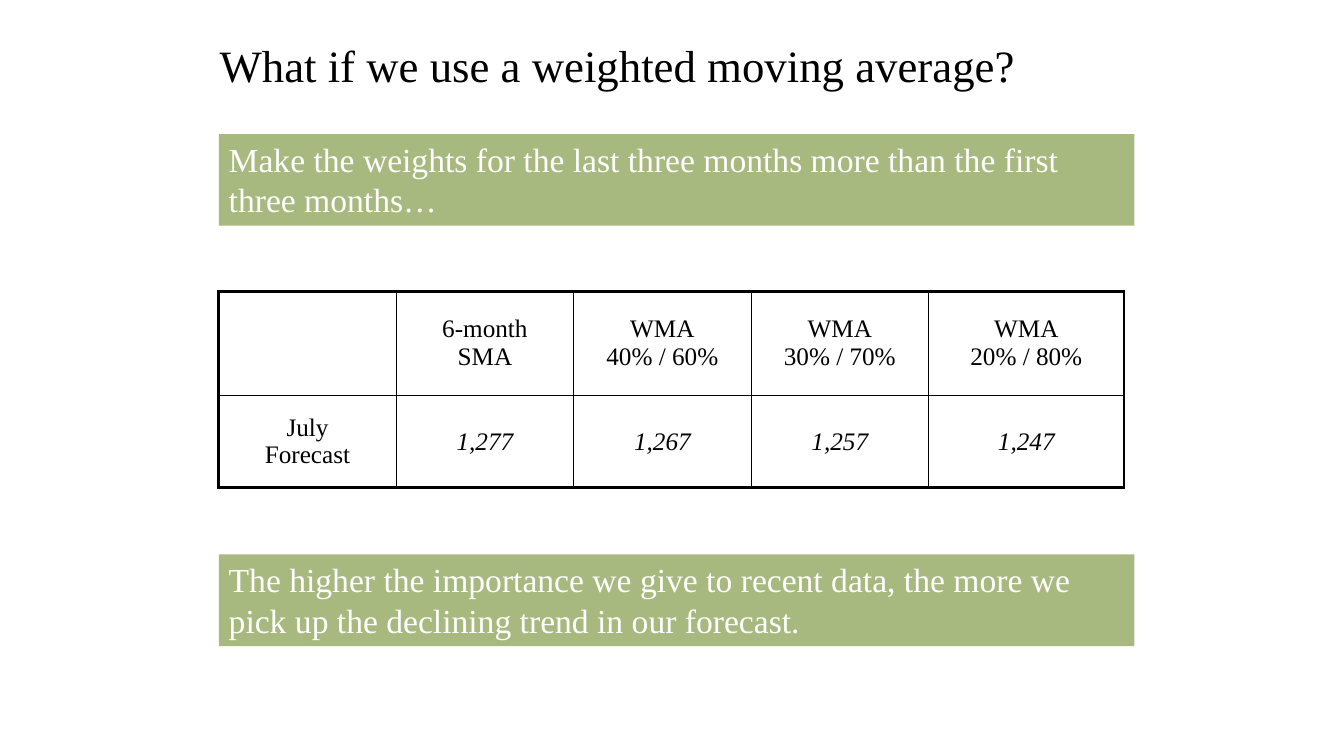
from dataclasses import dataclass

from lxml import etree
from pptx import Presentation
from pptx.dml.color import RGBColor
from pptx.enum.shapes import MSO_SHAPE
from pptx.enum.text import MSO_ANCHOR, PP_ALIGN
from pptx.oxml.ns import qn
from pptx.util import Inches, Pt

RECTANGLE = MSO_SHAPE.RECTANGLE
TOP, MIDDLE = MSO_ANCHOR.TOP, MSO_ANCHOR.MIDDLE
LEFT, CENTER = PP_ALIGN.LEFT, PP_ALIGN.CENTER

FONT = "Times New Roman"
BLACK, WHITE, GREEN = "000000", "FFFFFF", "A8B97F"
THIN, THICK = 1, 2.25
CONTENT_LEFT = 2.17


@dataclass
class Banner:
    top: float
    text: str


BANNERS = [
    Banner(1.33, "Make the weights for the last three months more than the first three months…"),
    Banner(5.5, "The higher the importance we give to recent data, the more we "
                "pick up the declining trend in our forecast."),
]
FORECASTS = [
    ["", "6-month\nSMA", "WMA\n40% / 60%", "WMA\n30% / 70%", "WMA\n20% / 80%"],
    ["July\nForecast", "1,277", "1,267", "1,257", "1,247"],
]
COLUMN_WIDTHS = [1.76, 1.76, 1.76, 1.76, 1.94]
ROW_HEIGHTS = [1.03, 0.92]


def color(value: str) -> RGBColor:
    return RGBColor.from_string(value)


def write_text(text_frame, text: str, size: float, font_color: str,
               alignment=LEFT, italic: bool = False) -> None:
    text_frame.word_wrap = True
    for index, line in enumerate(text.split("\n")):
        paragraph = text_frame.add_paragraph() if index else text_frame.paragraphs[0]
        paragraph.text = line
        paragraph.alignment = alignment
        paragraph.font.name = FONT
        paragraph.font.size = Pt(size)
        paragraph.font.italic = italic
        paragraph.font.color.rgb = color(font_color)


def add_title(slide, text: str) -> None:
    shape = slide.shapes.add_textbox(Inches(2.08), Inches(0.33), Inches(9), Inches(0.63))
    write_text(shape.text_frame, text, 32, BLACK)


def add_banner(slide, banner: Banner) -> None:
    shape = slide.shapes.add_shape(RECTANGLE, Inches(CONTENT_LEFT), Inches(banner.top),
                                   Inches(9.08), Inches(0.91))
    shape.shadow.inherit = False
    shape.fill.solid()
    shape.fill.fore_color.rgb = color(GREEN)
    shape.line.fill.background()
    shape.text_frame.vertical_anchor = TOP
    write_text(shape.text_frame, banner.text, 24, WHITE)


def set_borders(cell, widths: dict[str, float]) -> None:
    properties = cell._tc.get_or_add_tcPr()
    for index, (side, width) in enumerate(widths.items()):
        line = etree.Element(qn(f"a:ln{side}"), w=str(Pt(width)))
        fill = etree.SubElement(line, qn("a:solidFill"))
        etree.SubElement(fill, qn("a:srgbClr"), val=BLACK)
        properties.insert(index, line)


def add_forecast_table(slide) -> None:
    row_count, column_count = len(ROW_HEIGHTS), len(COLUMN_WIDTHS)
    table = slide.shapes.add_table(row_count, column_count, Inches(CONTENT_LEFT), Inches(2.89),
                                   Inches(sum(COLUMN_WIDTHS)), Inches(sum(ROW_HEIGHTS))).table
    table.first_row = False
    table.horz_banding = False
    for column, width in zip(table.columns, COLUMN_WIDTHS):
        column.width = Inches(width)
    for row, height in zip(table.rows, ROW_HEIGHTS):
        row.height = Inches(height)
    for row_index, texts in enumerate(FORECASTS):
        for column_index, text in enumerate(texts):
            cell = table.cell(row_index, column_index)
            cell.fill.background()
            cell.vertical_anchor = MIDDLE
            is_value = row_index > 0 and column_index > 0
            write_text(cell.text_frame, text, 18, BLACK, CENTER, is_value)
            set_borders(cell, {
                "L": THICK if column_index == 0 else THIN,
                "R": THICK if column_index == column_count - 1 else THIN,
                "T": THICK if row_index == 0 else THIN,
                "B": THICK if row_index == row_count - 1 else THIN,
            })


def main() -> None:
    presentation = Presentation()
    presentation.slide_width = Inches(13.33)
    presentation.slide_height = Inches(7.5)
    slide = presentation.slides.add_slide(presentation.slide_layouts[6])
    add_title(slide, "What if we use a weighted moving average?")
    for banner in BANNERS:
        add_banner(slide, banner)
    add_forecast_table(slide)
    presentation.save("out.pptx")


if __name__ == "__main__":
    main()
